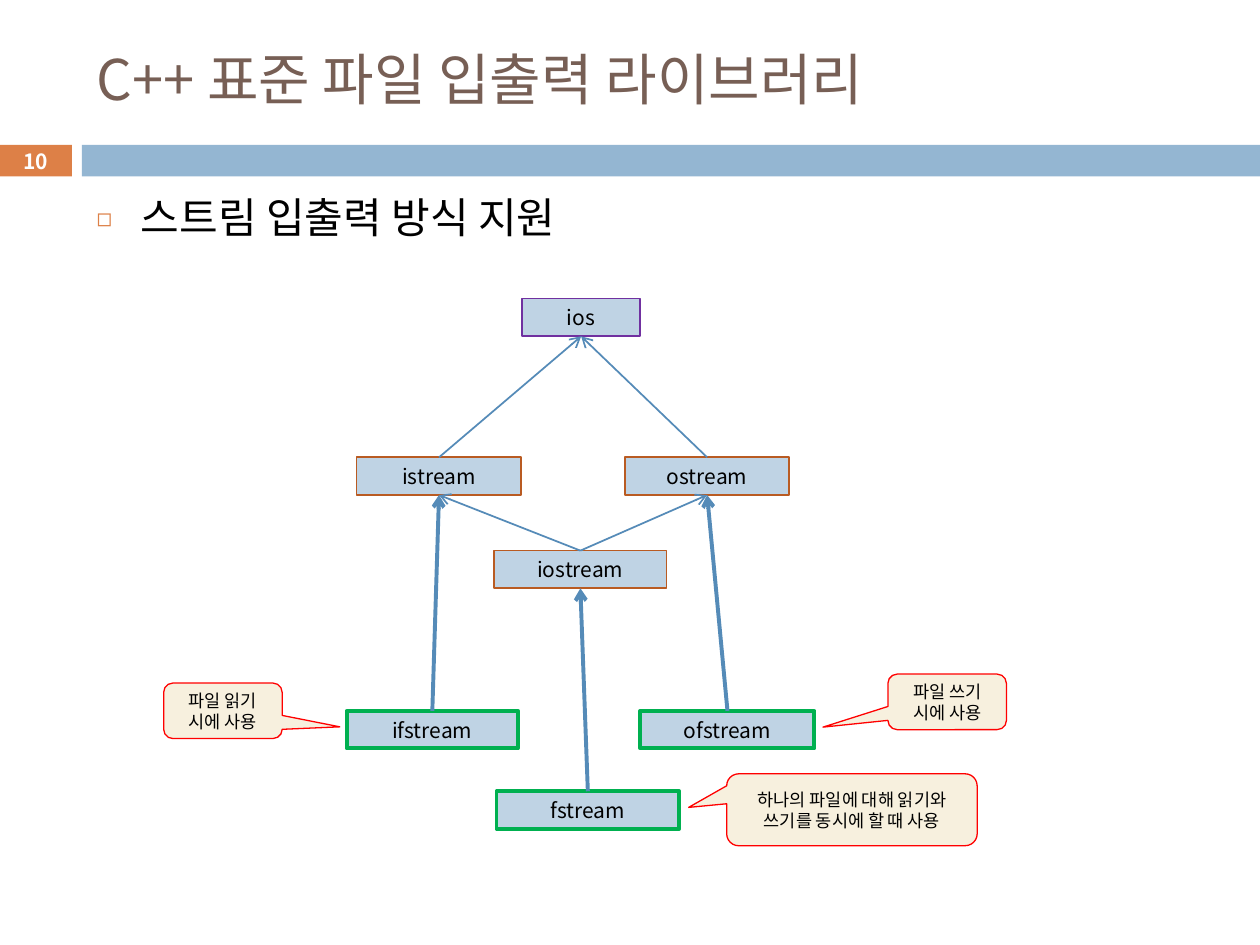
from collections import namedtuple

from lxml import etree
from pptx import Presentation
from pptx.dml.color import RGBColor
from pptx.enum.shapes import MSO_CONNECTOR, MSO_SHAPE
from pptx.enum.text import MSO_ANCHOR, PP_ALIGN
from pptx.oxml.ns import qn
from pptx.util import Cm, Pt

RECTANGLE = MSO_SHAPE.RECTANGLE
CALLOUT = MSO_SHAPE.ROUNDED_RECTANGULAR_CALLOUT
STRAIGHT = MSO_CONNECTOR.STRAIGHT
TOP, MIDDLE = MSO_ANCHOR.TOP, MSO_ANCHOR.MIDDLE
LEFT, CENTER = PP_ALIGN.LEFT, PP_ALIGN.CENTER

BLACK = RGBColor(0x00, 0x00, 0x00)
WHITE = RGBColor(0xFF, 0xFF, 0xFF)
BROWN = RGBColor(0x77, 0x5F, 0x55)
ORANGE = RGBColor(0xDD, 0x80, 0x47)
BAND_BLUE = RGBColor(0x94, 0xB6, 0xD2)
CLASS_BLUE = RGBColor(0xBF, 0xD3, 0xE4)
ARROW_BLUE = RGBColor(0x55, 0x8B, 0xB8)
PURPLE = RGBColor(0x70, 0x30, 0xA0)
RUST = RGBColor(0xB9, 0x5B, 0x22)
GREEN = RGBColor(0x00, 0xB0, 0x50)
CREAM = RGBColor(0xF7, 0xF0, 0xDE)
RED = RGBColor(0xFF, 0x00, 0x00)

FONT = "Noto Sans CJK KR"
CLASS_HEIGHT = 0.76
TOP_SITE, BOTTOM_SITE = 0, 2

Box = namedtuple("Box", "left top width height")

CLASSES = {
    "ios": (3.53, 0, 2.39, PURPLE, 1),
    "istream": (0.2, 3.2, 3.32, RUST, 1),
    "ostream": (5.61, 3.2, 3.31, RUST, 1),
    "iostream": (2.97, 5.08, 3.48, RUST, 1),
    "ifstream": (0, 8.31, 3.45, GREEN, 2.25),
    "ofstream": (5.92, 8.31, 3.51, GREEN, 2.25),
    "fstream": (3.02, 9.93, 3.68, GREEN, 2.25),
}
INHERITANCE = [
    ("istream", "ios", 1),
    ("ostream", "ios", 1),
    ("iostream", "istream", 1),
    ("iostream", "ostream", 1),
    ("ifstream", "istream", 2.25),
    ("ofstream", "ostream", 2.25),
    ("fstream", "iostream", 2.25),
]
USES = [
    ("파일 읽기 시에 사용", Box(0, 0.18, 2.39, 1.12), (0.986, 0.289)),
    ("파일 쓰기 시에 사용", Box(14.6, 0, 2.39, 1.12), (-1.048, 0.455)),
    ("하나의 파일에 대해 읽기와 쓰기를 동시에 할 때 사용",
     Box(11.35, 2.01, 5.05, 1.45), (-0.652, -0.033)),
]


def within(region, left, top, width, height):
    return Box(region.left + left, region.top + top, width, height)


def write_text(shape, text, size, color, align=CENTER, anchor=MIDDLE,
               bold=False, vertical_margin=0):
    frame = shape.text_frame
    frame.word_wrap = True
    frame.vertical_anchor = anchor
    frame.margin_top = frame.margin_bottom = Cm(vertical_margin)
    para = frame.paragraphs[0]
    para.alignment = align
    span = para.add_run()
    span.text = text
    span.font.name = FONT
    span.font.size = Pt(size)
    span.font.bold = bold
    span.font.color.rgb = color
    etree.SubElement(span.font._element, qn("a:ea"), typeface=FONT)
    return para


def add_text(page, box, text, size, color, **style):
    shape = page.shapes.add_textbox(*map(Cm, box))
    return write_text(shape, text, size, color, **style)


def add_panel(page, kind, box, fill, line=None, weight=1):
    shape = page.shapes.add_shape(kind, *map(Cm, box))
    shape.shadow.inherit = False
    shape.fill.solid()
    shape.fill.fore_color.rgb = fill
    if line is None:
        shape.line.fill.background()
    else:
        shape.line.color.rgb = line
        shape.line.width = Pt(weight)
    return shape


def add_bullet(para, mark, color, percent, indent):
    properties = para._p.get_or_add_pPr()
    properties.set("marL", str(Cm(indent)))
    properties.set("indent", str(-Cm(indent)))
    bullet_color = etree.SubElement(properties, qn("a:buClr"))
    etree.SubElement(bullet_color, qn("a:srgbClr"), val=str(color))
    etree.SubElement(properties, qn("a:buSzPct"), val=str(percent * 1000))
    etree.SubElement(properties, qn("a:buFont"), typeface=FONT)
    etree.SubElement(properties, qn("a:buChar"), char=mark)


def add_arrow(page, child, parent, weight):
    arrow = page.shapes.add_connector(STRAIGHT, 0, 0, 0, 0)
    arrow.begin_connect(child, TOP_SITE)
    arrow.end_connect(parent, BOTTOM_SITE)
    arrow.line.color.rgb = ARROW_BLUE
    arrow.line.width = Pt(weight)
    etree.SubElement(arrow.line._get_or_add_ln(), qn("a:tailEnd"), type="arrow")
    etree.SubElement(arrow._element.spPr, qn("a:effectLst"))


def draw_header(page, region):
    number_box = within(region, 0, 2.29, 1.45, 0.64)
    add_panel(page, RECTANGLE, number_box, ORANGE)
    add_panel(page, RECTANGLE, within(region, 1.65, 2.29, 23.75, 0.64), BAND_BLUE)
    add_text(page, within(region, 1.7, 0, 22.66, 1.88),
             "C++ 표준 파일 입출력 라이브러리", 32, BROWN, align=LEFT)
    add_text(page, number_box, "10", 12, WHITE, bold=True)


def draw_body(page, region):
    para = add_text(page, region, "스트림 입출력 방식 지원", 24, BLACK,
                    align=LEFT, anchor=TOP, vertical_margin=0.13)
    add_bullet(para, "◻", ORANGE, 60, 0.89)


def draw_class_tree(page, region):
    nodes = {}
    for name, (left, top, width, line, weight) in CLASSES.items():
        box = within(region, left, top, width, CLASS_HEIGHT)
        nodes[name] = add_panel(page, RECTANGLE, box, CLASS_BLUE, line, weight)
        write_text(nodes[name], name, 12, BLACK)
    for child, parent, weight in INHERITANCE:
        add_arrow(page, nodes[child], nodes[parent], weight)


def draw_uses(page, region):
    for text, box, tip in USES:
        callout = add_panel(page, CALLOUT, within(region, *box), CREAM, RED, 0.75)
        callout.adjustments[0], callout.adjustments[1] = tip
        callout.adjustments[2] = 0.167
        write_text(callout, text, 10, BLACK)


def main():
    deck = Presentation()
    deck.slide_width, deck.slide_height = Cm(25.4), Cm(19.05)
    page = deck.slides.add_slide(deck.slide_layouts[6])
    draw_header(page, Box(0, 0.63, 25.4, 2.93))
    draw_body(page, Box(1.7, 3.73, 22.66, 2.01))
    draw_class_tree(page, Box(6.99, 6.02, 9.43, 10.69))
    draw_uses(page, Box(3.3, 13.59, 16.99, 3.46))
    deck.save("out.pptx")


if __name__ == "__main__":
    main()
